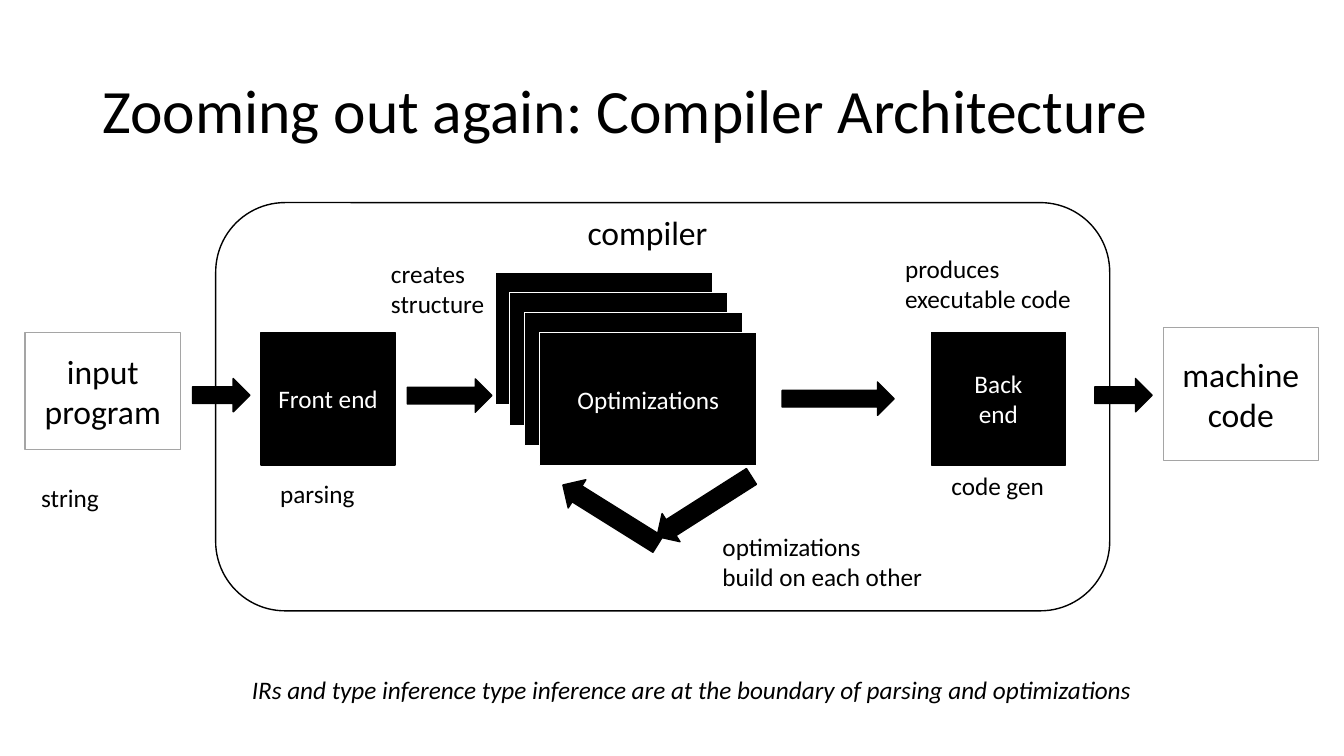
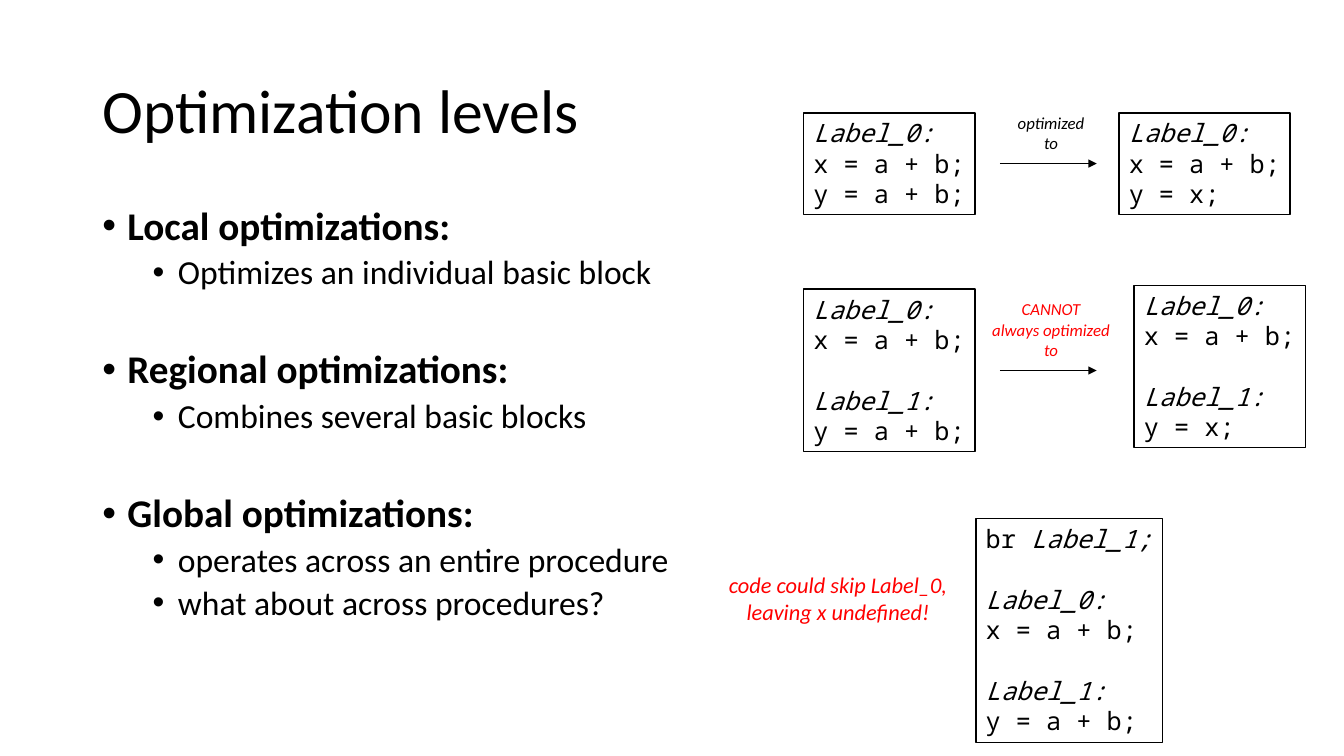
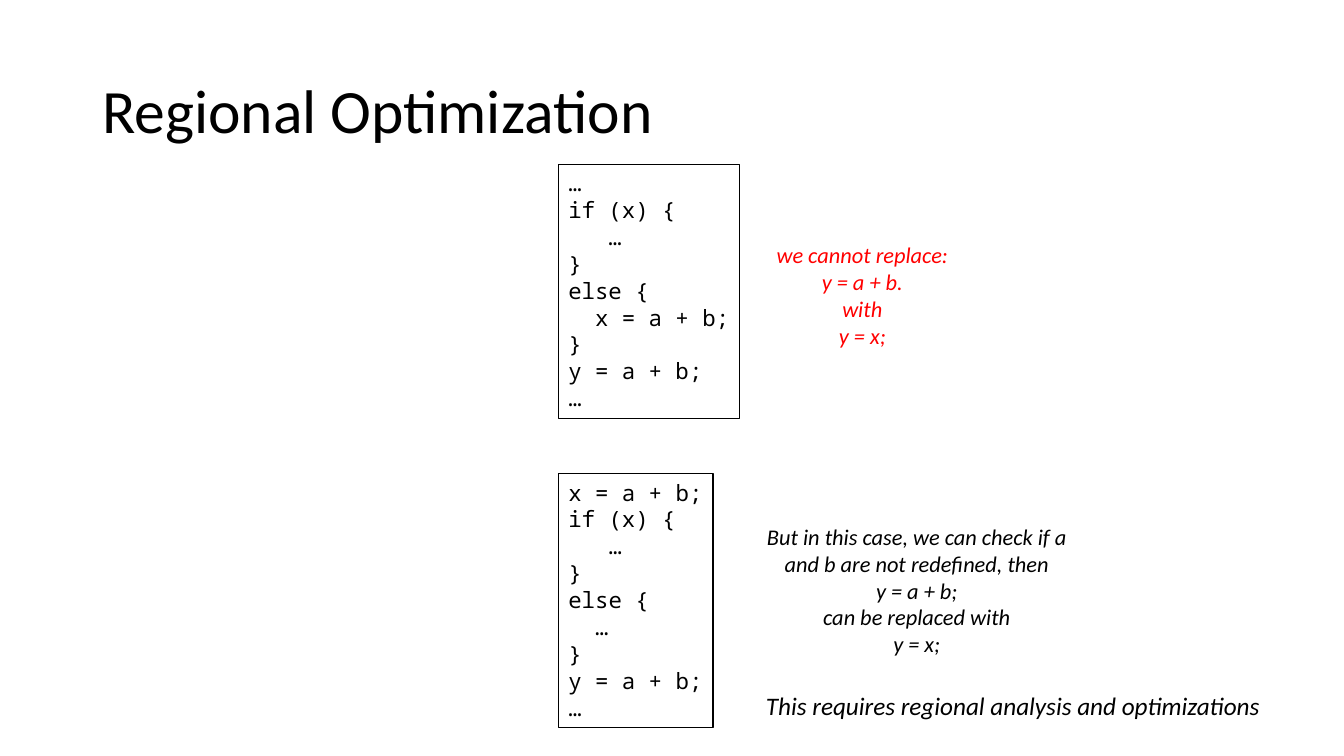
from typing import NamedTuple

from lxml.etree import SubElement
from pptx import Presentation
from pptx.dml.color import RGBColor
from pptx.enum.shapes import MSO_CONNECTOR, MSO_SHAPE
from pptx.enum.text import MSO_ANCHOR, PP_ALIGN
from pptx.oxml.ns import qn
from pptx.util import Pt

BLACK = RGBColor(0x00, 0x00, 0x00)
WHITE = RGBColor(0xFF, 0xFF, 0xFF)
GRAY = RGBColor(0xA5, 0xA5, 0xA5)
RED = RGBColor(0xFF, 0x00, 0x00)

TEXT_FONT = "Calibri"
CODE_FONT = "Noto Sans Mono"
CODE_LINE = 1.21
CODE_ADVANCE = 0.6
INSET_X, INSET_Y = 14.4, 7.2
NOTE_LINE = 14.6

TITLE_FORMAT = {"name": TEXT_FONT, "size": Pt(44)}
LARGE_FORMAT = {"name": TEXT_FONT, "size": Pt(24)}
LABEL_FORMAT = {"name": TEXT_FONT, "size": Pt(18)}
REMARK_FORMAT = {**LABEL_FORMAT, "italic": True}
ASIDE_FORMAT = {**REMARK_FORMAT, "size": Pt(16)}
NOTE_FORMAT = {**REMARK_FORMAT, "size": Pt(12)}
HEADING_FORMAT = {"name": TEXT_FONT, "size": Pt(28), "bold": True}


class Box(NamedTuple):
    """A rectangle in points."""
    left: float
    top: float
    width: float
    height: float

    def inner(self, left, top, width, height):
        """Return a box placed relative to this one."""
        return Box(self.left + left, self.top + top, width, height)

    def lengths(self):
        """Return the four sides as lengths."""
        return [Pt(round(value, 2)) for value in self]


TITLE_BOX = Box(66, 28.8, 828, 104.4)


def apply_format(target, values):
    """Set each attribute named in values on target."""
    for name, value in values.items():
        setattr(target, name, value)


def add_run(paragraph, text, font_format, color=BLACK):
    """Append a formatted run to a paragraph."""
    run = paragraph.add_run()
    run.text = text
    apply_format(run.font, font_format)
    run.font.color.rgb = color


def add_paragraphs(frame, count):
    """Return count paragraphs of an empty text frame."""
    return [frame.paragraphs[0]] + [frame.add_paragraph() for _ in range(count - 1)]


def write_lines(frame, text, font_format, color, alignment):
    """Write each line of text as one paragraph."""
    lines = text.split("\n")
    for paragraph, line in zip(add_paragraphs(frame, len(lines)), lines):
        paragraph.alignment = alignment
        add_run(paragraph, line, font_format, color)


def add_label(slide, box, text, font_format=LABEL_FORMAT, color=BLACK,
              alignment=PP_ALIGN.LEFT, wrap=False):
    """Add a plain text box."""
    frame = slide.shapes.add_textbox(*box.lengths()).text_frame
    frame.word_wrap = wrap
    write_lines(frame, text, font_format, color, alignment)
    return frame


def add_figure(slide, kind, box, fill=BLACK, line=BLACK):
    """Add a preset shape; a fill of None leaves it open."""
    shape = slide.shapes.add_shape(kind, *box.lengths())
    shape.shadow.inherit = False
    if fill is None:
        shape.fill.background()
    else:
        shape.fill.solid()
        shape.fill.fore_color.rgb = fill
    shape.line.color.rgb = line
    shape.line.width = Pt(1)
    return shape


def add_stage(slide, box, text, font_format=LABEL_FORMAT, fill=BLACK, line=BLACK, color=WHITE):
    """Add a rectangle with centred text."""
    frame = add_figure(slide, MSO_SHAPE.RECTANGLE, box, fill, line).text_frame
    apply_format(frame, {"word_wrap": True, "vertical_anchor": MSO_ANCHOR.MIDDLE})
    write_lines(frame, text, font_format, color, PP_ALIGN.CENTER)


def add_block_arrow(slide, box, rotation=0):
    """Add a thick arrow, slimmer in its head when it is turned."""
    arrow = add_figure(slide, MSO_SHAPE.RIGHT_ARROW, box)
    arrow.rotation = rotation
    if rotation:
        arrow.adjustments[0] = 0.56


def add_thin_arrow(slide, left, right, middle):
    """Add a horizontal line with an arrowhead at its right end."""
    ends = [Pt(round(value, 2)) for value in (left, middle, right, middle)]
    connector = slide.shapes.add_connector(MSO_CONNECTOR.STRAIGHT, *ends)
    connector.line.color.rgb = BLACK
    connector.line.width = Pt(0.5)
    properties = connector._element.spPr
    SubElement(properties.find(qn("a:ln")), qn("a:tailEnd"), type="triangle")
    SubElement(properties, qn("a:effectLst"))


def code_size(code, size):
    """Return the width and height of a framed listing."""
    lines = code.split("\n")
    width = max(map(len, lines)) * CODE_ADVANCE * size + INSET_X
    return width, len(lines) * CODE_LINE * size + INSET_Y


def add_code(slide, left, top, code, size=18):
    """Add a framed listing with italic labels; empty lines become spacing."""
    box = Box(left, top, *code_size(code, size))
    frame = add_figure(slide, MSO_SHAPE.RECTANGLE, box, WHITE).text_frame
    apply_format(frame, {"word_wrap": False, "vertical_anchor": MSO_ANCHOR.TOP})
    code_format = {"name": CODE_FONT, "size": Pt(size)}
    source = code.split("\n")
    written = [index for index, line in enumerate(source) if line]
    for paragraph, index in zip(add_paragraphs(frame, len(written)), written):
        paragraph.alignment = PP_ALIGN.LEFT
        if index and not source[index - 1]:
            paragraph.space_before = Pt(round(CODE_LINE * size, 2))
        plain, mark, rest = source[index].partition("Label_")
        if plain:
            add_run(paragraph, plain, code_format)
        if mark:
            add_run(paragraph, mark + rest, {**code_format, "italic": True})


def add_titled_slide(presentation, title):
    """Add a blank slide with the shared title style."""
    slide = presentation.slides.add_slide(presentation.slide_layouts[6])
    frame = add_label(slide, TITLE_BOX, title, TITLE_FORMAT, wrap=True)
    frame.vertical_anchor = MSO_ANCHOR.MIDDLE
    frame.paragraphs[0].line_spacing = 0.9
    return slide


def add_optimization_stack(slide, box):
    """Add four overlapping passes, the front one labelled."""
    for step in range(4):
        layer = box.inner(step * 10.6, step * 14.4, 155.5, 95)
        add_stage(slide, layer, "Optimizations" if step == 3 else "", line=WHITE)


def add_compiler(slide, box):
    """Add the compiler frame with its stages, arrows and labels."""
    add_optimization_stack(slide, box.inner(199.4, 49.7, 187.3, 138.2))
    for left, text in ((32.4, "Front end"), (511.2, "Back\nend")):
        add_stage(slide, box.inner(left, 92.6, 95.8, 95), text)
    for left, top, width, rotation in (
        (136.8, 126, 60.5, 0),
        (404.6, 128.2, 80, 0),
        (308.9, 205.2, 80, 147.5),
        (241.9, 211, 80, 212),
    ):
        add_block_arrow(slide, box.inner(left, top, width, 23.8), rotation)
    frame = add_figure(slide, MSO_SHAPE.ROUNDED_RECTANGLE, box, fill=None)
    frame.adjustments[0] = 0.17
    add_label(slide, box.inner(258.5, 2.9, 100.8, 36), "compiler", LARGE_FORMAT)
    for left, top, width, text in (
        (38.9, 193.7, 68.4, "parsing"),
        (518.4, 187.9, 81.4, "code gen"),
        (354.9, 231.1, 159.1, "optimizations\nbuild on each other"),
        (118.1, 36, 82.1, "creates\nstructure"),
        (485.3, 32.4, 134.6, "produces\nexecutable code"),
    ):
        height = 22 * len(text.split("\n")) + INSET_Y
        add_label(slide, box.inner(left, top, width, height), text)


def add_optimization_step(slide, box, before, after, note, color=BLACK, rise=0):
    """Add two listings at the box's ends with a noted arrow between them."""
    add_code(slide, box.left, box.top, before)
    add_code(slide, box.left + box.width - code_size(after, 18)[0], box.top - rise, after)
    middle = box.top + code_size(before, 18)[1] / 2
    left, right = box.left + 140.2, box.left + 209.4
    add_thin_arrow(slide, left, right, middle)
    height = NOTE_LINE * len(note.split("\n")) + INSET_Y
    width = 102
    note_box = Box((left + right - width) / 2 + 2, middle - 3.5 - height, width, height)
    add_label(slide, note_box, note, NOTE_FORMAT, color, PP_ALIGN.CENTER)


def add_outline(slide, box, sections):
    """Add bold bulleted headings, each with bulleted points."""
    frame = slide.shapes.add_textbox(*box.lengths()).text_frame
    frame.word_wrap = True
    entries = []
    for heading, points in sections:
        entries.append((heading, HEADING_FORMAT, 18, 41.4 if entries else 0))
        entries += [(point, LARGE_FORMAT, 54, 5) for point in points]
    for paragraph, entry in zip(add_paragraphs(frame, len(entries)), entries):
        text, font_format, margin, space = entry
        properties = paragraph._p.get_or_add_pPr()
        properties.set("marL", str(Pt(margin)))
        properties.set("indent", str(-Pt(18)))
        SubElement(properties, qn("a:buFont"), typeface="Arial")
        SubElement(properties, qn("a:buChar"), char="•")
        apply_format(paragraph, {"line_spacing": 0.9, "space_before": Pt(space)})
        add_run(paragraph, text, font_format)


def build_architecture(presentation):
    """Build the compiler architecture slide."""
    slide = add_titled_slide(presentation, "Zooming out again: Compiler Architecture")
    for box, text in (
        (Box(18, 237.6, 110.9, 83.5), "input program"),
        (Box(830.9, 234, 110.9, 95), "machine code"),
    ):
        add_stage(slide, box, text, LARGE_FORMAT, WHITE, GRAY, BLACK)
    for left in (137.5, 782):
        add_block_arrow(slide, Box(left, 270.4, 41, 23.8))
    add_compiler(slide, Box(154.1, 144.7, 638.6, 291.6))
    add_label(slide, Box(22.3, 341.3, 56.2, 28.8), "string")
    add_label(slide, Box(172.8, 478, 653.8, 28.8),
              "IRs and type inference type inference are at the boundary of parsing and optimizations",
              REMARK_FORMAT)


def build_levels(presentation):
    """Build the optimization levels slide."""
    slide = add_titled_slide(presentation, "Optimization levels")
    add_outline(slide, Box(66, 144, 435, 342.7), (
        ("Local optimizations:", ["Optimizes an individual basic block"]),
        ("Regional optimizations:", ["Combines several basic blocks"]),
        ("Global optimizations:",
         ["operates across an entire procedure", "what about across procedures?"]),
    ))
    add_optimization_step(
        slide, Box(574, 80.6, 347.6, 72.7),
        "Label_0:\nx = a + b;\ny = a + b;", "Label_0:\nx = a + b;\ny = x;",
        "optimized\nto")
    split_blocks = "Label_0:\nx = a + b;\n\nLabel_1:\ny = a + b;"
    add_optimization_step(
        slide, Box(574, 206.6, 358.4, 116.6),
        split_blocks, "Label_0:\nx = a + b;\n\nLabel_1:\ny = x;",
        "CANNOT\nalways optimized\nto", RED, rise=2.8)
    add_code(slide, 697, 370.6, "br Label_1;\n\n" + split_blocks)
    add_label(slide, Box(512.6, 404.6, 172, 46), "code could skip Label_0,\nleaving x undefined!",
              ASIDE_FORMAT, RED, PP_ALIGN.CENTER)


def build_regional(presentation):
    """Build the regional optimization slide."""
    slide = add_titled_slide(presentation, "Regional Optimization")
    for top, code in (
        (117.4, "…\nif (x) {\n   …\n}\nelse {\n  x = a + b;\n}\ny = a + b;\n…"),
        (338.4, "x = a + b;\nif (x) {\n   …\n}\nelse {\n  …\n}\ny = a + b;\n…"),
    ):
        add_code(slide, 398.9, top, code, 16)
    for box, text, color in (
        (Box(546.5, 169, 139, 85), "we cannot replace:\ny = a + b.\nwith\ny = x;", RED),
        (Box(540, 370, 229.7, 104.4),
         "But in this case, we can check if a and b are not redefined, then\n"
         "y = a + b;\ncan be replaced with\ny = x;", BLACK),
    ):
        add_label(slide, box, text, ASIDE_FORMAT, color, PP_ALIGN.CENTER, wrap=True)
    add_label(slide, Box(540, 489.6, 370.8, 28.8),
              "This requires regional analysis and optimizations", REMARK_FORMAT)


def main():
    """Build and save the presentation."""
    presentation = Presentation()
    apply_format(presentation, {"slide_width": Pt(960), "slide_height": Pt(540)})
    for build in (build_architecture, build_levels, build_regional):
        build(presentation)
    presentation.save("out.pptx")


if __name__ == "__main__":
    main()
